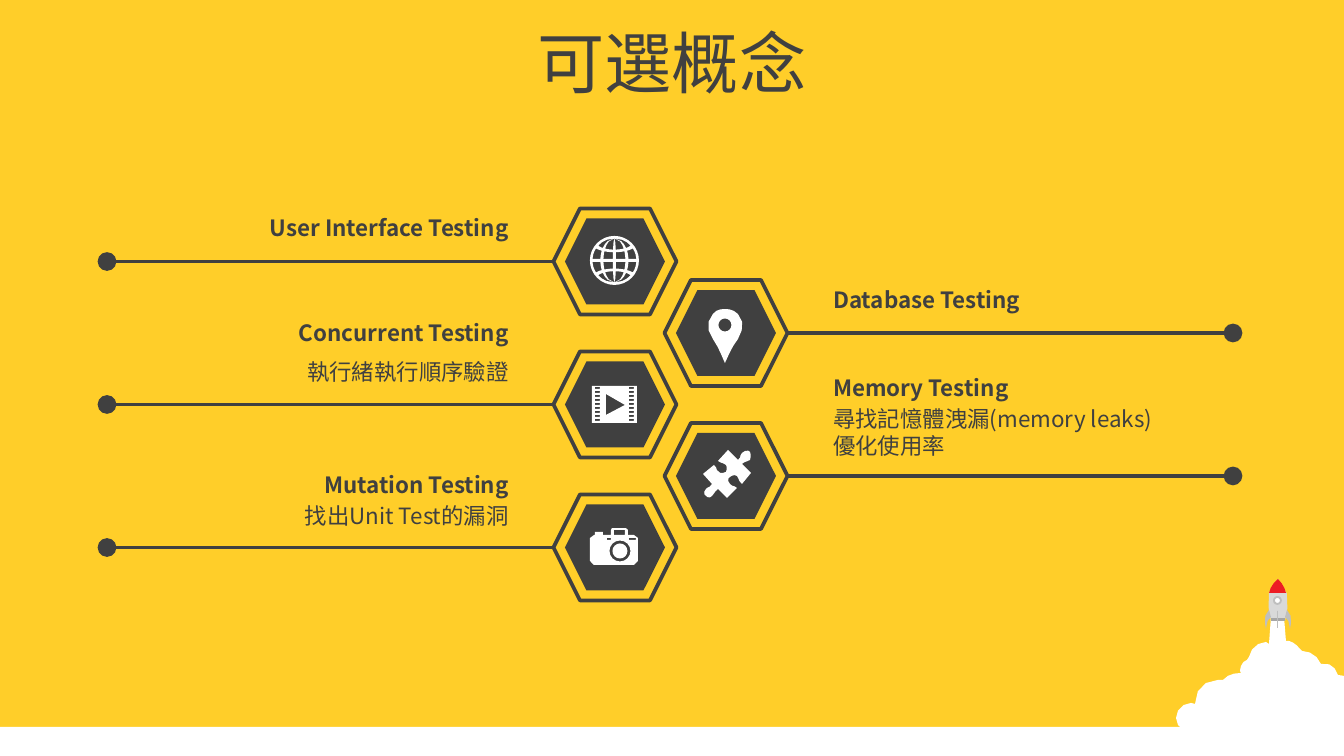
from dataclasses import dataclass
from itertools import product
from math import cos, pi, sin, sqrt

from lxml.etree import SubElement
from pptx import Presentation
from pptx.dml.color import RGBColor
from pptx.enum.shapes import MSO_CONNECTOR, MSO_SHAPE as Preset
from pptx.enum.text import MSO_ANCHOR as Anchor, PP_ALIGN as Align
from pptx.oxml.ns import qn
from pptx.util import Pt

SCALE = 914400 / 134.4
FONT = "Noto Sans CJK SC"
YELLOW = RGBColor(0xFF, 0xCE, 0x29)
DARK = RGBColor(0x40, 0x40, 0x40)
WHITE = RGBColor(0xFF, 0xFF, 0xFF)
LIGHT_GREY = RGBColor(0xD9, 0xD9, 0xD9)
MID_GREY = RGBColor(0xBF, 0xBF, 0xBF)
DEEP_GREY = RGBColor(0xA6, 0xA6, 0xA6)
RED = RGBColor(0xED, 0x1C, 0x24)

FIRST_ROW, ROW_STEP = 261.5, 71.5
LEFT_X, RIGHT_X = 615, 726
OUTER, INNER = (123, 106), (100, 86)
LABEL_WIDTH = 380
CURVE_STEPS = 3

Contour = list[tuple[float, float]]


@dataclass
class Label:
    """A line or block of text beside a connector."""
    top: int
    lines: list[str]
    bold: bool = False


@dataclass
class Topic:
    """One hexagon with its icon and labels, on the left or right side."""
    row: int
    icon: list[Contour]
    labels: list[Label]

    @property
    def on_left(self) -> bool:
        """Tell whether the topic stands in the left column."""
        return self.row % 2 == 0


def emu(pixels: float) -> int:
    """Convert pixels to EMU."""
    return round(pixels * SCALE)


def circle(x: float, y: float, radius: float, sides: int = 16) -> Contour:
    """Return the points of a circle."""
    angles = [2 * pi * i / sides for i in range(sides)]
    return [(x + radius * cos(angle), y + radius * sin(angle)) for angle in angles]


def block(x: float, y: float, width: float, height: float) -> Contour:
    """Return the corners of a rectangle."""
    return [(x, y), (x + width, y), (x + width, y + height), (x, y + height)]


def trace(outline: str) -> Contour:
    """Turn an outline of M, L and C commands into points."""
    points: Contour = []
    for command in outline.replace("M", "|").replace("L", "|").replace("C", "|").split("|")[1:]:
        values = [int(value) for value in command.split()]
        pairs = list(zip(values[::2], values[1::2]))
        if len(pairs) == 1:
            points += pairs
            continue
        curve = [points[-1], *pairs]
        for step in range(1, CURVE_STEPS + 1):
            t = step / CURVE_STEPS
            weights = ((1 - t) ** 3, 3 * t * (1 - t) ** 2, 3 * t * t * (1 - t), t ** 3)
            points.append(tuple(sum(w * p[axis] for w, p in zip(weights, curve)) for axis in (0, 1)))
    return points


def globe(x: float, y: float) -> list[Contour]:
    """Return a disc with a grid of curved cells cut out."""
    contours = [circle(x, y, 24.5, 32)]
    columns, rows, signs = ((0.07, 0.5), (0.64, 1)), ((0.07, 0.37), (0.49, 1)), (-1, 1)
    for (u0, u1), (v0, v1), side, half in product(columns, rows, signs, signs):
        corners = [(u0, v0), (u1, v0), (u1, v1), (u0, v1)]
        cell = []
        for (start_u, start_v), (end_u, end_v) in zip(corners, corners[1:] + corners[:1]):
            for step in range(CURVE_STEPS):
                u = start_u + (end_u - start_u) * step / CURVE_STEPS
                v = start_v + (end_v - start_v) * step / CURVE_STEPS
                height = v + (0.75 * u * u * v * (1 - v) if v > 0.1 else 0)
                reach = u * sqrt(max(0, 1 - height ** 2))
                cell.append((x + side * 22 * reach, y + half * 22 * height))
        contours.append(cell)
    return contours


def film() -> list[Contour]:
    """Return a film frame with perforations and a play mark."""
    holes = [block(x, 387 + 4 * i, 5, 2) for x, i in product((595, 629), range(9))]
    return [block(592, 386, 45, 37), *holes, [(606, 394), (606, 415), (625, 405)]]


PIN = [trace("M725 309 C730 309 734 310 738 314 C745 321 743 331 738 339 C732 347 730 352 725 363 "
             "C720 352 719 348 713 339 C707 331 706 321 713 314 C716 310 720 309 725 309"),
       circle(725, 325, 6.5)]
PUZZLE = [trace(
    "M750 452 C751 454 751 457 750 460 C747 462 745 461 742 464 L751 473 L742 484 "
    "C738 481 739 478 737 476 C735 474 731 476 730 477 C728 478 727 481 730 484 "
    "C732 487 734 485 737 488 L727 498 L718 489 C714 492 715 493 712 496 "
    "C710 499 707 497 706 496 C704 495 703 492 706 489 C707 487 710 488 712 484 L703 474 L714 465 "
    "C718 468 715 470 719 472 C720 474 723 473 726 472 C727 470 727 466 726 465 "
    "C722 462 722 464 718 461 L728 450 L738 460 C742 457 739 456 742 453 C745 450 749 450 750 452")]
CAMERA = [trace(
    "M612 528 L626 528 L628 530 L628 535 L634 535 L638 538 L638 561 L634 565 L594 565 "
    "L590 561 L590 538 L594 535 L595 535 L595 532 L603 532 L603 535 L611 535 L611 530"),
    block(614, 530, 11, 5), block(607, 538, 4, 2), block(629, 538, 7, 2),
    circle(620, 551, 10.5), circle(620, 551, 7.5)]

CLOUD = trace(
    "M1271 617 L1284 617 L1286 641 L1289 641 C1293 642 1297 645 1300 649 L1302 651 "
    "C1310 651 1318 656 1321 664 L1322 664 C1330 662 1336 668 1338 675 L1344 676 L1344 753 L1200 753 "
    "L1200 732 L1191 732 C1183 732 1176 726 1176 718 C1176 710 1183 703 1191 703 L1195 704 "
    "C1195 690 1204 680 1218 680 L1223 680 C1227 675 1234 673 1241 673 L1240 671 "
    "C1240 666 1243 661 1247 660 L1249 657 C1250 649 1258 642 1266 642 L1269 644")
BODY = trace("M1271 621 C1269 609 1263 591 1278 579 C1293 593 1287 610 1285 621")
NOSE = trace("M1278 579 C1282 583 1285 588 1286 593 L1269 593 C1270 588 1273 583 1278 579")
LEFT_FIN = trace("M1269 610 L1271 617 C1266 620 1267 626 1266 629 C1265 625 1263 614 1269 610")
RIGHT_FIN = [(2556 - x, y) for x, y in LEFT_FIN]

TOPICS = [
    Topic(0, globe(614.5, 260.5), [Label(208, ["User Interface Testing"], True)]),
    Topic(1, PIN, [Label(280, ["Database Testing"], True)]),
    Topic(2, film(), [Label(352, ["執行緒執行順序驗證"]), Label(313, ["Concurrent Testing"], True)]),
    Topic(3, PUZZLE, [Label(399, ["尋找記憶體洩漏(memory leaks)", "優化使用率"]),
                      Label(368, ["Memory Testing"], True)]),
    Topic(4, CAMERA, [Label(496, ["找出Unit Test的漏洞"]), Label(465, ["Mutation Testing"], True)]),
]


def add_preset(page, kind, x: float, y: float, width: float, height: float,
               fill: RGBColor, line: RGBColor | None = None, weight: float = 2) -> None:
    """Draw a preset shape."""
    shape = page.shapes.add_shape(kind, emu(x), emu(y), emu(width), emu(height))
    paint(shape, fill, line, weight)


def paint(shape, fill: RGBColor, line: RGBColor | None = None, weight: float = 2) -> None:
    """Set a shape's fill and outline and drop its shadow."""
    shape.shadow.inherit = False
    shape.fill.solid()
    shape.fill.fore_color.rgb = fill
    if line is None:
        shape.line.fill.background()
    else:
        shape.line.color.rgb = line
        shape.line.width = Pt(weight)


def add_outline(page, contours: list[Contour], fill: RGBColor) -> None:
    """Draw closed contours as one shape; inner ones become holes."""
    scaled = [[(emu(x), emu(y)) for x, y in contour] for contour in contours]
    builder = page.shapes.build_freeform(*scaled[0][0])
    builder.add_line_segments(scaled[0][1:])
    for contour in scaled[1:]:
        builder.move_to(*contour[0])
        builder.add_line_segments(contour[1:])
    paint(builder.convert_to_shape(), fill)


def add_text(page, x: int, y: int, width: int, height: int, lines: list[str], size: int,
             align, bold: bool = False, anchor=Anchor.TOP) -> None:
    """Write one paragraph per line in a text box."""
    frame = page.shapes.add_textbox(emu(x), emu(y), emu(width), emu(height)).text_frame
    frame.word_wrap = True
    frame.vertical_anchor = anchor
    for index, line in enumerate(lines):
        para = frame.add_paragraph() if index else frame.paragraphs[0]
        para.alignment = align
        span = para.add_run()
        span.text = line
        span.font.size, span.font.bold, span.font.name = Pt(size), bold, FONT
        span.font.color.rgb = DARK
        SubElement(span.font._element, qn("a:ea"), typeface=FONT)


def add_pointer(page, start: int, end: int, y: float) -> None:
    """Draw a horizontal line that ends in a dot."""
    line = page.shapes.add_connector(MSO_CONNECTOR.STRAIGHT, emu(start), emu(y), emu(end), emu(y))
    line.line.color.rgb = DARK
    line.line.width = Pt(2)
    SubElement(line.line._get_or_add_ln(), qn("a:tailEnd"), type="oval", w="lg", len="lg")
    SubElement(line._element.spPr, qn("a:effectLst"))


def add_topic(page, topic: Topic) -> None:
    """Draw a hexagon, its icon, its pointer and its labels."""
    x = LEFT_X if topic.on_left else RIGHT_X
    y = FIRST_ROW + topic.row * ROW_STEP
    for (width, height), fill, line in ((OUTER, YELLOW, DARK), (INNER, DARK, None)):
        add_preset(page, Preset.HEXAGON, x - width / 2, y - height / 2, width, height, fill, line)
    add_outline(page, topic.icon, WHITE)
    add_pointer(page, *((553, 107) if topic.on_left else (787, 1233)), y)
    left, align = (142, Align.RIGHT) if topic.on_left else (820, Align.LEFT)
    for label in topic.labels:
        height = 40 if len(label.lines) == 1 else 67
        add_text(page, left, label.top, LABEL_WIDTH, height, label.lines, 12, align, label.bold)


def add_rocket(page) -> None:
    """Draw the rocket above its cloud."""
    for contour, fill in ((CLOUD, WHITE), (BODY, LIGHT_GREY), (block(1271, 618, 14, 3), DEEP_GREY),
                          (NOSE, RED), (LEFT_FIN, MID_GREY), (RIGHT_FIN, MID_GREY)):
        add_outline(page, [contour], fill)
    add_preset(page, Preset.OVAL, 1274, 597, 7, 7, WHITE, MID_GREY, 1)
    add_preset(page, Preset.RECTANGLE, 1277, 611, 1, 17, MID_GREY)


deck = Presentation()
deck.slide_width, deck.slide_height = emu(1344), emu(756)
page = deck.slides.add_slide(deck.slide_layouts[6])
page.background.fill.solid()
page.background.fill.fore_color.rgb = YELLOW
add_preset(page, Preset.RECTANGLE, 0, 727, 1344, 29, WHITE)
add_rocket(page)
add_text(page, 0, 19, 1344, 85, ["可選概念"], 36, Align.CENTER, anchor=Anchor.MIDDLE)
for topic in TOPICS:
    add_topic(page, topic)
deck.save("out.pptx")
